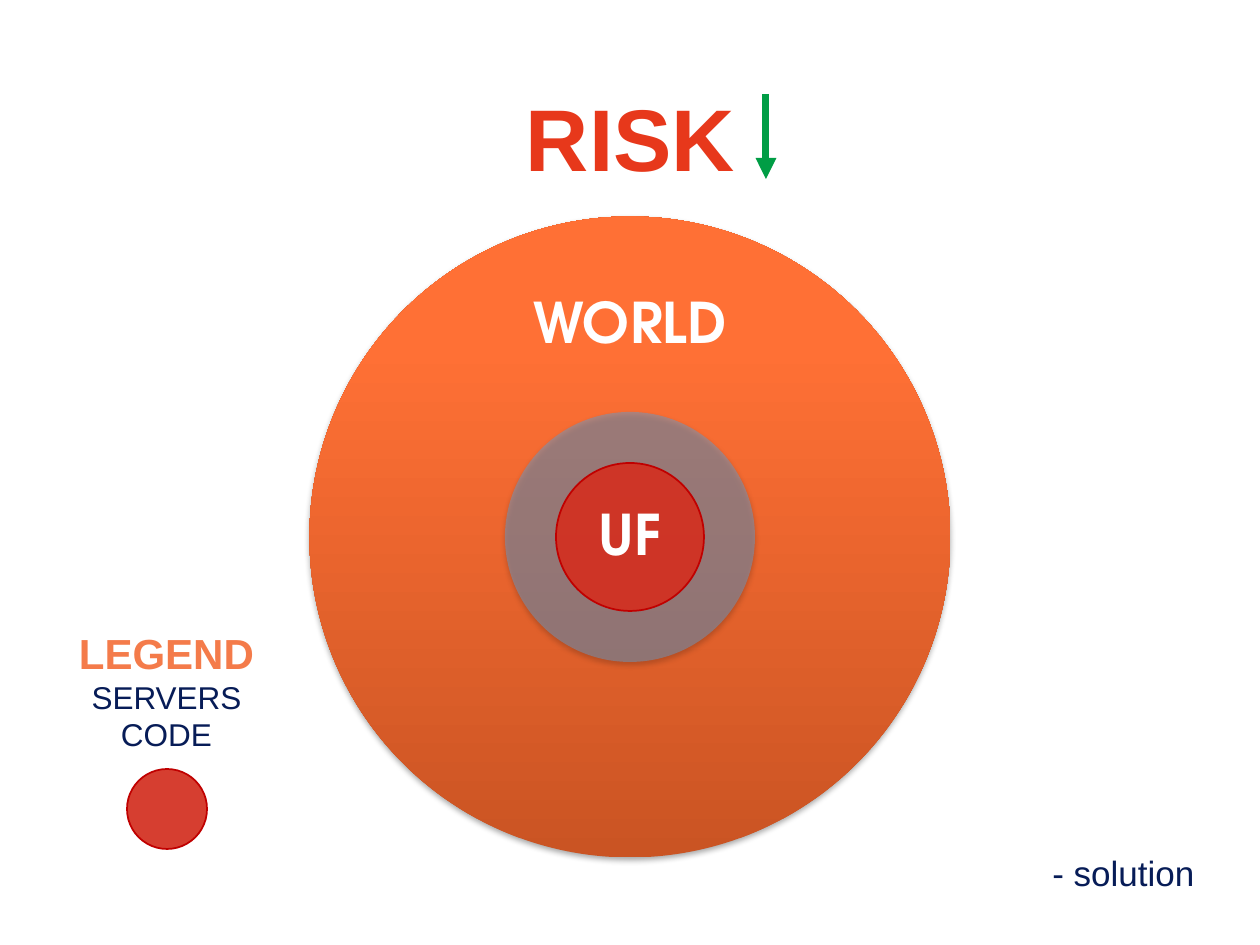
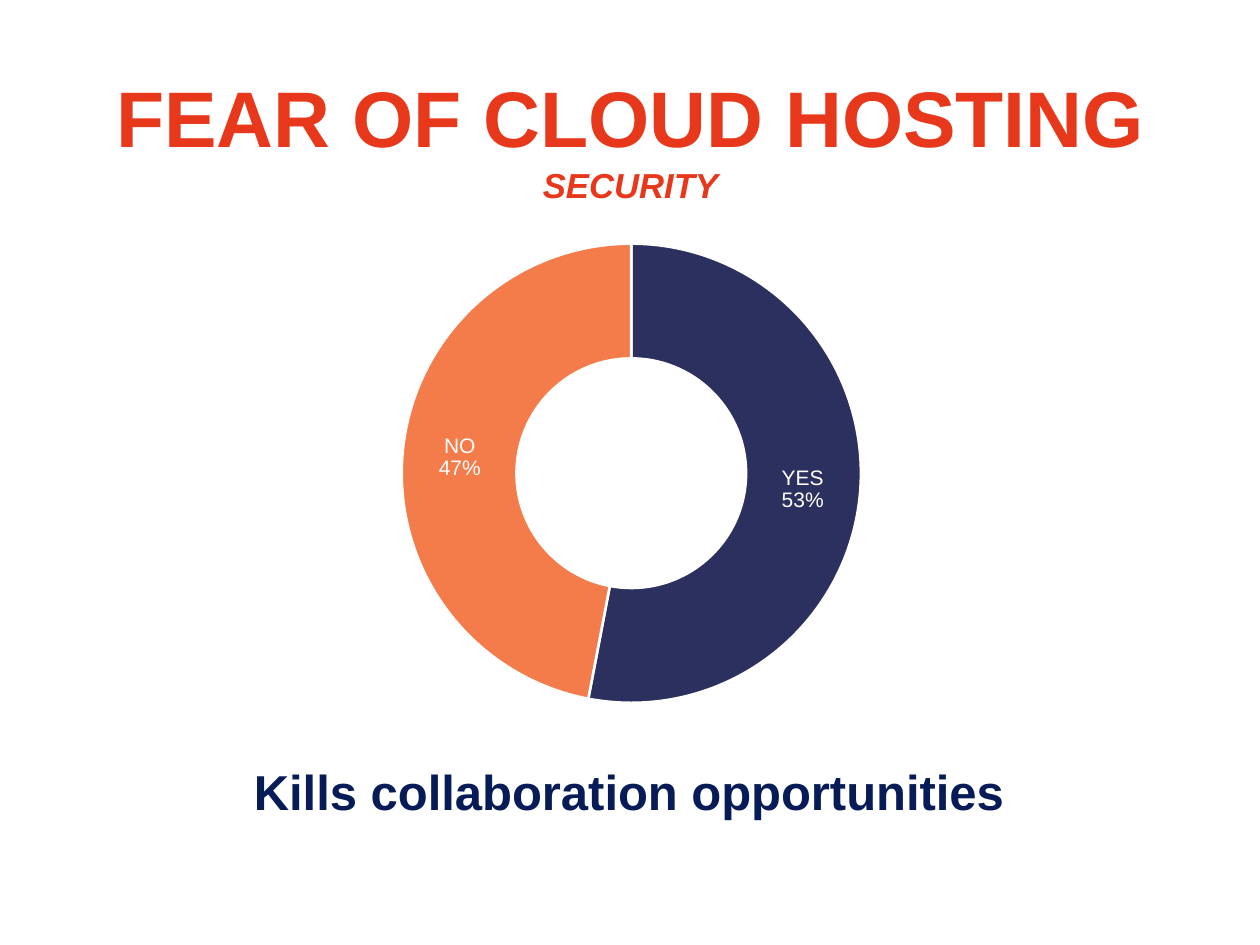
from lxml.etree import SubElement
from pptx import Presentation
from pptx.chart.data import CategoryChartData
from pptx.dml.color import RGBColor
from pptx.enum.chart import XL_CHART_TYPE
from pptx.enum.shapes import MSO_CONNECTOR, MSO_SHAPE
from pptx.enum.text import MSO_ANCHOR, PP_ALIGN
from pptx.oxml.ns import qn
from pptx.util import Pt

EMU_PER_PX = 914400 / 126
SLIDE_SIZE = (1260, 945)
TITLE_BOX = (53, 53, 1155, 168)
BODY_FONT = "Arial"
LABEL_FONT = "TeX Gyre Adventor"
COLOURS = {
    "title": "E7381B",
    "text": "071C57",
    "accent": "F47B4A",
    "white": "FFFFFF",
    "shadow": "000000",
    "world_dark": "CA5423",
    "world_mid": "FF7035",
    "world_light": "FF7137",
    "buffer": "6A9AC5",
    "code": "D33021",
    "code_line": "C00000",
    "down": "009D45",
    "yes": "2C305E",
}


def px(*lengths):
    return [round(length * EMU_PER_PX) for length in lengths]


def rgb(name):
    return RGBColor.from_string(COLOURS[name])


def centred_box(centre, size):
    return centre[0] - size / 2, centre[1] - size / 2, size, size


def add_xml(parent, tag, **attributes):
    values = {name: str(value) for name, value in attributes.items()}
    return SubElement(parent, qn(tag), values)


def set_font(font, size, colour, bold=False, italic=False, name=BODY_FONT):
    font.name = name
    font.size = Pt(size)
    font.bold = bold
    font.italic = italic
    font.color.rgb = rgb(colour)


def add_text(slide, box, paragraphs, align=PP_ALIGN.CENTER, anchor=MSO_ANCHOR.TOP):
    """Each paragraph is a list of (text, font settings) runs."""
    text_frame = slide.shapes.add_textbox(*px(*box)).text_frame
    text_frame.word_wrap = True
    text_frame.vertical_anchor = anchor
    for index, runs in enumerate(paragraphs):
        paragraph = text_frame.add_paragraph() if index else text_frame.paragraphs[0]
        paragraph.alignment = align
        for text, settings in runs:
            run = paragraph.add_run()
            run.text = text
            set_font(run.font, **settings)
    return text_frame


def add_title(slide, runs):
    add_text(slide, TITLE_BOX, [runs], anchor=MSO_ANCHOR.MIDDLE)


def add_circle_label(slide, centre, size, text):
    settings = dict(size=32, colour="white", bold=True, name=LABEL_FONT)
    text_frame = add_text(slide, centred_box(centre, size), [[(text, settings)]],
                          anchor=MSO_ANCHOR.MIDDLE)
    text_frame.margin_left, text_frame.margin_right = px(16, 16)
    text_frame.margin_top, text_frame.margin_bottom = px(3, 3)
    text_frame.paragraphs[0].line_spacing = 0.9


def add_circle(slide, centre, diameter):
    circle = slide.shapes.add_shape(MSO_SHAPE.OVAL, *px(*centred_box(centre, diameter)))
    circle.shadow.inherit = False
    circle.line.fill.background()
    return circle


def fill_solid(shape, colour, opacity):
    shape.fill.solid()
    shape.fill.fore_color.rgb = rgb(colour)
    colour_element = shape._element.spPr.find(qn("a:solidFill"))[0]
    add_xml(colour_element, "a:alpha", val=opacity * 1000)


def fill_gradient(shape, stops):
    """Fill from bottom to top with (percent, colour) stops."""
    shape.fill.gradient()
    shape.fill.gradient_angle = 90
    stop_list = shape._element.spPr.find(qn("a:gradFill")).find(qn("a:gsLst"))
    for old_stop in list(stop_list):
        stop_list.remove(old_stop)
    for percent, colour in stops:
        stop = add_xml(stop_list, "a:gs", pos=percent * 1000)
        add_xml(stop, "a:srgbClr", val=COLOURS[colour])


def add_soft_shadow(shape):
    effects = shape._element.spPr.find(qn("a:effectLst"))
    shadow = add_xml(effects, "a:outerShdw", blurRad=Pt(3.1), dist=Pt(1.8),
                     dir=5400000, rotWithShape=0)
    colour = add_xml(shadow, "a:srgbClr", val=COLOURS["shadow"])
    add_xml(colour, "a:alpha", val=35000)


def add_code_circle(slide, centre, diameter):
    circle = add_circle(slide, centre, diameter)
    fill_solid(circle, "code", 93)
    circle.line.color.rgb = rgb("code_line")
    circle.line.width = Pt(1)


def add_arrow(slide, start, end, colour, width):
    arrow = slide.shapes.add_connector(MSO_CONNECTOR.STRAIGHT, *px(*start, *end))
    arrow.line.color.rgb = rgb(colour)
    arrow.line.width = Pt(width)
    add_xml(arrow.line._get_or_add_ln(), "a:tailEnd", type="triangle")
    add_xml(arrow._element.spPr, "a:effectLst")


def set_plot_layout(chart, **fractions):
    plot_area = chart._chartSpace.find(".//" + qn("c:plotArea"))
    for old_layout in plot_area.findall(qn("c:layout")):
        plot_area.remove(old_layout)
    layout = add_xml(plot_area, "c:layout")
    plot_area.insert(0, layout)
    manual = add_xml(layout, "c:manualLayout")
    add_xml(manual, "c:layoutTarget", val="inner")
    for mode in ("xMode", "yMode"):
        add_xml(manual, f"c:{mode}", val="edge")
    for name, fraction in fractions.items():
        add_xml(manual, f"c:{name}", val=fraction)


def add_doughnut(slide, box, answers):
    """Draw (category, value, colour) answers as a labelled ring."""
    chart_data = CategoryChartData()
    chart_data.categories = [category for category, _, _ in answers]
    chart_data.add_series("Series 1", [value for _, value, _ in answers])
    chart = slide.shapes.add_chart(XL_CHART_TYPE.DOUGHNUT, *px(*box), chart_data).chart
    chart.has_legend = False
    chart.has_title = False
    set_font(chart.font, 10, "white")
    set_plot_layout(chart, x=0.235, y=0.041, w=0.531, h=0.796)
    chart._chartSpace.find(".//" + qn("c:holeSize")).set("val", "60")

    plot = chart.plots[0]
    plot.vary_by_categories = True
    series = plot.series[0]
    for index, (_, _, colour) in enumerate(answers):
        point_format = series.points[index].format
        point_format.fill.solid()
        point_format.fill.fore_color.rgb = rgb(colour)
        point_format.line.color.rgb = rgb("white")
        point_format.line.width = Pt(1.5)

    labels = series.data_labels
    labels.show_category_name = True
    labels.show_percentage = True
    labels.show_value = False
    labels.number_format = "0%"
    labels.number_format_is_linked = False
    set_font(labels.font, 12, "white")
    label_element = labels._element
    separator = add_xml(label_element, "c:separator")
    separator.text = "\n"
    label_element.find(qn("c:showBubbleSize")).addnext(separator)


def build_risk_slide(slide):
    centre = (630, 537)
    world = add_circle(slide, centre, 641)
    fill_gradient(world, [(0, "world_dark"), (80, "world_mid"), (100, "world_light")])
    add_soft_shadow(world)
    add_circle_label(slide, (630, 325), 454, "WORLD")
    add_title(slide, [("RISK", dict(size=50, colour="title", bold=True))])

    buffer = add_circle(slide, centre, 250)
    fill_solid(buffer, "buffer", 50)
    add_soft_shadow(buffer)
    add_code_circle(slide, centre, 148)

    body = dict(size=20, colour="text")
    add_text(slide, (719, 845, 488, 55), [[("- solution", body)]], PP_ALIGN.RIGHT)
    heading = dict(size=24, colour="accent", bold=True)
    entry = dict(size=18, colour="text")
    add_text(slide, (35, 621, 263, 140),
             [[("LEGEND", heading)], [("SERVERS", entry)], [("CODE", entry)]])
    add_code_circle(slide, (167, 809), 80)
    add_circle_label(slide, centre, 176, "UF")
    add_arrow(slide, (766, 94), (766, 179), "down", 4)


def build_fear_slide(slide):
    add_title(slide, [
        ("FEAR OF CLOUD HOSTING ", dict(size=45, colour="title", bold=True)),
        ("SECURITY", dict(size=19.8, colour="title", bold=True, italic=True)),
    ])
    add_doughnut(slide, (198, 220, 866, 577), [("YES", 53, "yes"), ("NO", 47, "accent")])
    message = dict(size=28, colour="text", bold=True)
    add_text(slide, (45, 755, 1168, 72), [[("Kills collaboration opportunities", message)]])


def main():
    presentation = Presentation()
    presentation.slide_width, presentation.slide_height = px(*SLIDE_SIZE)
    blank_layout = presentation.slide_layouts[6]
    for build_slide in (build_risk_slide, build_fear_slide):
        build_slide(presentation.slides.add_slide(blank_layout))
    presentation.save("out.pptx")


if __name__ == "__main__":
    main()
